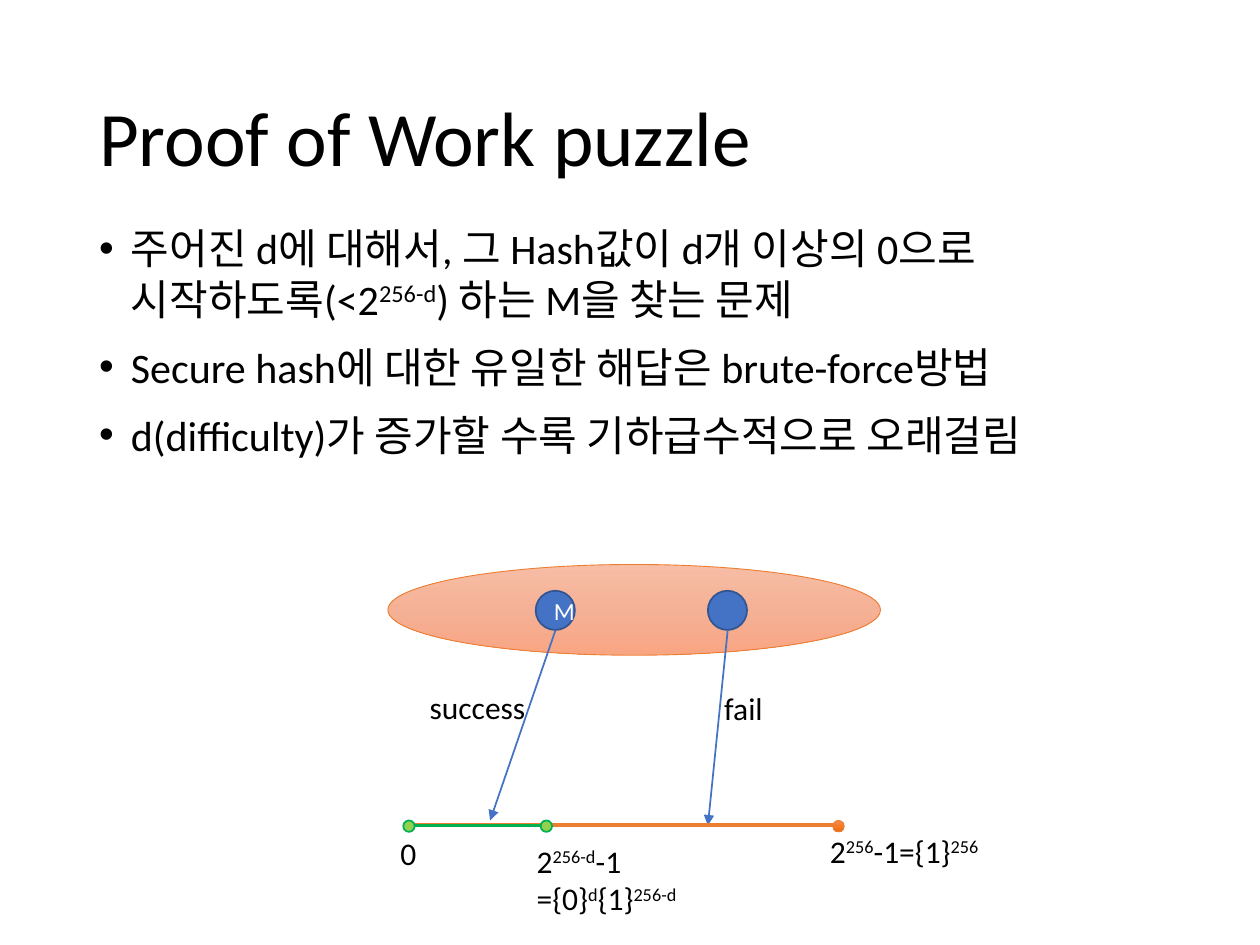
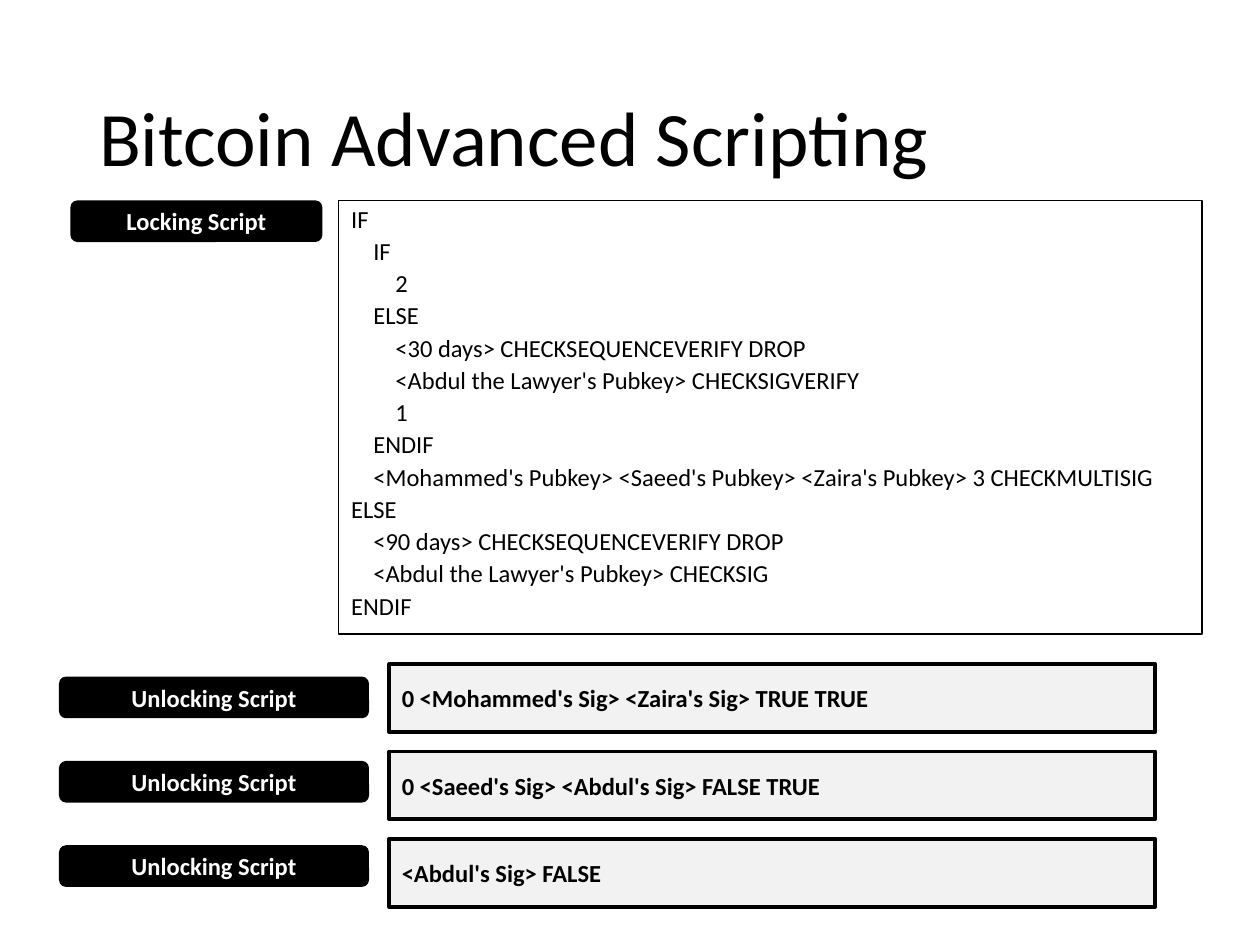
from copy import deepcopy
from dataclasses import dataclass
from typing import Optional

from lxml import etree
from pptx import Presentation
from pptx import util as u
from pptx.dml.color import RGBColor
from pptx.enum import shapes, text
from pptx.oxml import ns

BLACK = RGBColor(0x00, 0x00, 0x00)
WHITE = RGBColor(0xFF, 0xFF, 0xFF)
PALE_GRAY = RGBColor(0xF2, 0xF2, 0xF2)
BLUE = RGBColor(0x44, 0x72, 0xC4)
DARK_BLUE = RGBColor(0x32, 0x54, 0x91)
ORANGE = RGBColor(0xED, 0x7D, 0x31)
LIME = RGBColor(0x92, 0xD0, 0x50)
GREEN = RGBColor(0x00, 0xB0, 0x50)
DOMAIN_STOPS = (RGBColor(0xF7, 0xBD, 0xA5), RGBColor(0xF5, 0xB1, 0x96), RGBColor(0xF8, 0xA5, 0x82))
END_STOPS = (RGBColor(0xF1, 0x8C, 0x57), RGBColor(0xF6, 0x7B, 0x28), RGBColor(0xE5, 0x6C, 0x19))

FONT = "Calibri"
OVAL = shapes.MSO_SHAPE.OVAL
RECTANGLE = shapes.MSO_SHAPE.RECTANGLE
ROUNDED = shapes.MSO_SHAPE.ROUNDED_RECTANGLE
CENTER = text.PP_ALIGN.CENTER
LEFT = text.PP_ALIGN.LEFT


@dataclass(frozen=True)
class Style:
    fill: object = None
    line: Optional[RGBColor] = None
    weight: float = 1
    color: RGBColor = BLACK
    bold: bool = False
    align: object = LEFT


@dataclass(frozen=True)
class Label:
    left: float
    top: float
    width: float
    height: float
    words: str


@dataclass(frozen=True)
class Line:
    start: tuple[float, float]
    end: tuple[float, float]
    color: RGBColor
    weight: float
    arrow: bool = False


BADGE = Style(BLACK, color=WHITE, bold=True, align=CENTER)
ANSWER = Style(PALE_GRAY, BLACK, 2.25, bold=True)
CODE = Style(line=BLACK, weight=0.75)
MESSAGE = Style(BLUE, DARK_BLUE, color=WHITE, align=CENTER)
DOMAIN = Style(DOMAIN_STOPS, ORANGE, 0.5)
TARGET_DOT = Style(LIME, GREEN)
END_DOT = Style(END_STOPS, ORANGE, 0.5)

PUZZLE_POINTS = (
    "주어진 d에 대해서, 그 Hash값이 d개 이상의 0으로 시작하도록(<2^256-d^) 하는 M을 찾는 문제",
    "Secure hash에 대한 유일한 해답은 brute-force방법",
    "d(difficulty)가 증가할 수록 기하급수적으로 오래걸림",
)
PUZZLE_LABELS = (
    Label(7.82, 16.69, 0.84, 1.02, "0"),
    Label(16.48, 16.64, 3.71, 1.02, "2^256^-1={1}^256^"),
    Label(10.57, 16.84, 3.51, 1.8, "2^256-d^-1\n={0}^d^{1}^256-d^"),
    Label(14.35, 13.77, 1.3, 1.02, "fail"),
    Label(8.41, 13.74, 2.46, 1.02, "success"),
)
AXIS = 16.64
PUZZLE_LINES = (
    Line((11.2, 12.7), (9.88, 16.54), BLUE, 1, True),
    Line((14.67, 12.7), (14.27, AXIS), BLUE, 1, True),
    Line((8.15, AXIS), (16.92, AXIS), ORANGE, 2.25),
    Line((8.15, AXIS), (10.9, AXIS), GREEN, 1.5),
)
LOCKING_CODE = """IF
    IF
        2
    ELSE
        <30 days> CHECKSEQUENCEVERIFY DROP
        <Abdul the Lawyer's Pubkey> CHECKSIGVERIFY
        1
    ENDIF
    <Mohammed's Pubkey> <Saeed's Pubkey> <Zaira's Pubkey> 3 CHECKMULTISIG
ELSE
    <90 days> CHECKSEQUENCEVERIFY DROP
    <Abdul the Lawyer's Pubkey> CHECKSIG
ENDIF"""
UNLOCKING = (
    "0 <Mohammed's Sig> <Zaira's Sig> TRUE TRUE",
    "0 <Saeed's Sig> <Abdul's Sig> FALSE TRUE",
    "<Abdul's Sig> FALSE",
)


def set_font(para, size: float, color: RGBColor = BLACK, bold: bool = False) -> None:
    para.font.name = FONT
    para.font.size = u.Pt(size)
    para.font.color.rgb = color
    para.font.bold = bold


def write_powers(para, words: str) -> None:
    for index, part in enumerate(words.split("^")):
        for row, piece in enumerate(part.split("\n")):
            if row:
                para.add_line_break()
            if piece:
                span = para.add_run()
                span.text = piece
                if index % 2:
                    span._r.get_or_add_rPr().set("baseline", "30000")


def add_text(page, label: Label):
    return page.shapes.add_textbox(
        u.Cm(label.left), u.Cm(label.top), u.Cm(label.width), u.Cm(label.height)
    )


def add_title(page, words: str) -> None:
    frame = add_text(page, Label(1.75, 1.02, 21.9, 3.68, words)).text_frame
    frame.word_wrap = True
    frame.vertical_anchor = text.MSO_ANCHOR.MIDDLE
    para = frame.paragraphs[0]
    para.text = words
    para.line_spacing = 0.9
    set_font(para, 44)


def add_bullets(page, points: tuple[str, ...]) -> None:
    frame = add_text(page, Label(1.75, 4.37, 21.9, 12.78, "")).text_frame
    frame.word_wrap = True
    for index, point in enumerate(points):
        para = frame.add_paragraph() if index else frame.paragraphs[0]
        if index:
            para.space_before = u.Pt(10)
        props = para._p.get_or_add_pPr()
        indent = u.Cm(0.64)
        props.set("marL", str(indent))
        props.set("indent", str(-indent))
        etree.SubElement(props, ns.qn("a:buFont"), typeface="Arial")
        etree.SubElement(props, ns.qn("a:buChar"), char="•")
        write_powers(para, point)
        set_font(para, 24)


def add_label(page, label: Label) -> None:
    frame = add_text(page, label).text_frame
    frame.word_wrap = False
    frame.auto_size = text.MSO_AUTO_SIZE.SHAPE_TO_FIT_TEXT
    para = frame.paragraphs[0]
    write_powers(para, label.words)
    set_font(para, 18)


def fill_gradient(box, colors: tuple[RGBColor, ...]) -> None:
    box.fill.gradient()
    box.fill.gradient_angle = 270
    stop_list = box._element.spPr.find(".//" + ns.qn("a:gsLst"))
    stop_list.append(deepcopy(stop_list[-1]))
    for index, (stop, color) in enumerate(zip(box.fill.gradient_stops, colors)):
        stop.position = index / (len(colors) - 1)
        stop.color.rgb = color


def add_box(page, kind, label: Label, style: Style):
    box = page.shapes.add_shape(
        kind, u.Cm(label.left), u.Cm(label.top), u.Cm(label.width), u.Cm(label.height)
    )
    box.shadow.inherit = False
    if style.fill is None:
        box.fill.background()
    elif isinstance(style.fill, RGBColor):
        box.fill.solid()
        box.fill.fore_color.rgb = style.fill
    else:
        fill_gradient(box, style.fill)
    if style.line is None:
        box.line.fill.background()
    else:
        box.line.color.rgb = style.line
        box.line.width = u.Pt(style.weight)
    if label.words:
        box.text_frame.text = label.words
        box.text_frame.vertical_anchor = text.MSO_ANCHOR.MIDDLE
        for para in box.text_frame.paragraphs:
            para.alignment = style.align
            set_font(para, 14, style.color, style.bold)
    return box


def add_line(page, line: Line) -> None:
    ends = [u.Cm(value) for value in (*line.start, *line.end)]
    connector = page.shapes.add_connector(shapes.MSO_CONNECTOR.STRAIGHT, *ends)
    connector.line.color.rgb = line.color
    connector.line.width = u.Pt(line.weight)
    if line.arrow:
        etree.SubElement(connector.line._get_or_add_ln(), ns.qn("a:tailEnd"), type="triangle")
    etree.SubElement(connector._element.spPr, ns.qn("a:effectLst"))


def build_puzzle(page) -> None:
    add_title(page, "Proof of Work puzzle")
    add_bullets(page, PUZZLE_POINTS)
    add_box(page, OVAL, Label(7.82, 11.38, 9.93, 1.83, ""), DOMAIN)
    for left, words in ((10.8, "M"), (14.27, "")):
        add_box(page, OVAL, Label(left, 11.91, 0.79, 0.79, words), MESSAGE)
    for line in PUZZLE_LINES:
        add_line(page, line)
    for left, style in ((8.13, TARGET_DOT), (10.9, TARGET_DOT), (16.79, END_DOT)):
        add_box(page, OVAL, Label(left, 16.54, 0.23, 0.23, ""), style)
    for label in PUZZLE_LABELS:
        add_label(page, label)


def build_scripting(page) -> None:
    add_title(page, "Bitcoin Advanced Scripting")
    add_box(page, ROUNDED, Label(1.42, 4.04, 5.08, 0.84, "Locking Script"), BADGE)
    code = add_box(page, RECTANGLE, Label(6.83, 4.04, 17.4, 8.74, LOCKING_CODE), CODE)
    for index, para in enumerate(code.text_frame.paragraphs):
        para.line_spacing = 0.5
        if index:
            para.space_before = u.Pt(10)
    for row, answer in enumerate(UNLOCKING):
        badge = Label(1.19, 13.64 + row * 1.7, 6.25, 0.84, "Unlocking Script")
        add_box(page, ROUNDED, badge, BADGE)
        add_box(page, RECTANGLE, Label(7.85, 13.39 + row * 1.76, 15.44, 1.37, answer), ANSWER)


def main() -> None:
    deck = Presentation()
    deck.slide_width = u.Cm(25.4)
    deck.slide_height = u.Cm(19.05)
    for build in (build_puzzle, build_scripting):
        build(deck.slides.add_slide(deck.slide_layouts[6]))
    deck.save("out.pptx")


if __name__ == "__main__":
    main()
